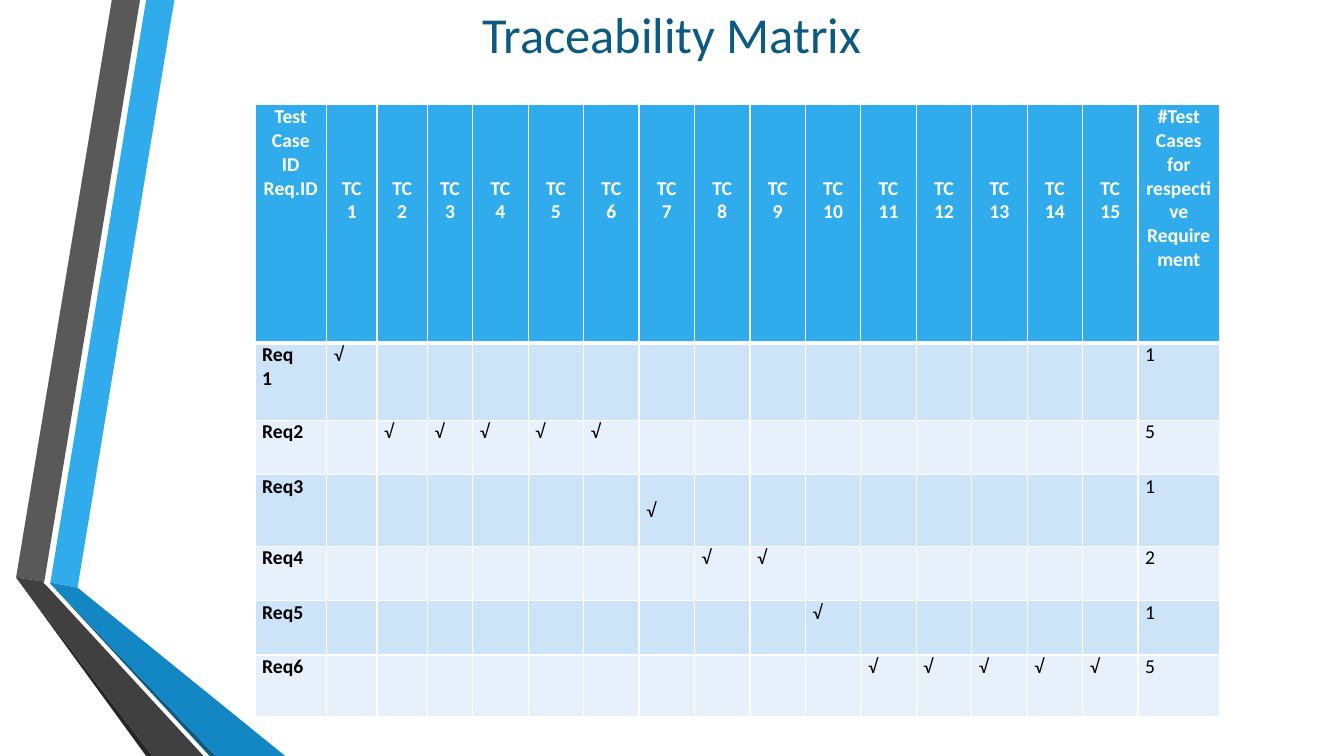
from lxml.etree import SubElement
from pptx import Presentation
from pptx.dml.color import RGBColor
from pptx.enum.text import MSO_ANCHOR, PP_ALIGN
from pptx.oxml.ns import qn
from pptx.util import Emu, Pt

SKY = RGBColor(0x30, 0xAC, 0xEC)
BLUE = RGBColor(0x12, 0x87, 0xC3)
NAVY = RGBColor(0x0C, 0x5A, 0x82)
GREY = RGBColor(0x59, 0x59, 0x59)
DARK = RGBColor(0x40, 0x40, 0x40)
COAL = RGBColor(0x26, 0x26, 0x26)
BLACK = RGBColor(0, 0, 0)
WHITE = RGBColor(0xFF, 0xFF, 0xFF)
BANDS = RGBColor(0xCD, 0xE3, 0xF8), RGBColor(0xE8, 0xF1, 0xFB)

GRID_COLS, GRID_ROWS, UNIT = 160, 90, 76200

RIBBONS = [
    (SKY, [(6, 69.36), (9.24, 69.96), (20.76, 0), (17.4, 0)]),
    (GREY, [(16.68, 0), (13.32, 0), (1.92, 68.76), (5.28, 69.24)]),
    (COAL, [(1.92, 68.76), (17.4, 90), (18.12, 90)]),
    (NAVY, [(6, 69.48), (24.96, 90), (25.68, 90)]),
    (BLUE, [(6, 69.48), (25.68, 90), (33.96, 90), (9.24, 69.96), (6, 69.36)]),
    (DARK, [(24.24, 90), (5.76, 69.96), (5.16, 69.36), (5.28, 69.24),
            (1.92, 68.76), (18.12, 90)]),
]
TEST_CASES = 15
COVERAGE = [
    ("Req\n1", range(1, 2)),
    ("Req2", range(2, 7)),
    ("Req3", range(7, 8)),
    ("Req4", range(8, 10)),
    ("Req5", range(10, 11)),
    ("Req6", range(11, 16)),
]
COL_WIDTHS = [8.52, 6, 6, 5.4] + [6.6] * 12 + [9.72]
ROW_HEIGHTS = [28.32, 9.24, 6.48, 8.52, 6.48, 6.48, 7.32]
LINE = 2.84


def grid(n):
    return Emu(round(n * UNIT))


def write(tf, text, size=14, color=BLACK, bold=False, align=PP_ALIGN.LEFT, font="Calibri"):
    tf.word_wrap = True
    for i, line in enumerate(text.split("\n")):
        p = tf.add_paragraph() if i else tf.paragraphs[0]
        p.alignment = align
        p.font.size = Pt(size)
        if line:
            r = p.add_run()
            r.text = line
            r.font.name, r.font.size, r.font.bold = font, Pt(size), bold
            r.font.color.rgb = color


class Deck:
    """Slide builder that places elements on a grid of columns and rows."""

    def __init__(self):
        self.prs = Presentation()
        self.prs.slide_width, self.prs.slide_height = grid(GRID_COLS), grid(GRID_ROWS)
        self.s = self.prs.slides.add_slide(self.prs.slide_layouts[5])

    def title(self, text, x, y, w, h):
        sp = self.s.shapes.title
        sp.left, sp.top, sp.width, sp.height = map(grid, (x, y, w, h))
        sp.text_frame.vertical_anchor = MSO_ANCHOR.MIDDLE
        write(sp.text_frame, text, size=36, color=NAVY, align=PP_ALIGN.CENTER)

    def ribbon(self, color, points):
        start, *rest = [(grid(x), grid(y)) for x, y in points]
        builder = self.s.shapes.build_freeform(*start, scale=1.0)
        builder.add_line_segments(rest, close=True)
        sp = builder.convert_to_shape()
        sp.shadow.inherit = False
        sp.fill.solid()
        sp.fill.fore_color.rgb = color
        sp.line.fill.background()

    def table(self, x, y, widths, heights):
        frame = self.s.shapes.add_table(len(heights), len(widths), grid(x), grid(y),
                                        grid(sum(widths)), grid(sum(heights)))
        tbl = frame.table
        tbl.horz_banding = False
        for col, w in zip(tbl.columns, widths):
            col.width = grid(w)
        for row, h in zip(tbl.rows, heights):
            row.height = grid(h)
        return tbl

    def cell(self, cell, text, fill, skip_lines=0, bottom=1, **fmt):
        cell.margin_left = cell.margin_right = grid(0.86)
        cell.margin_top, cell.margin_bottom = grid(skip_lines * LINE), 0
        tcPr = cell._tc.get_or_add_tcPr()
        for side, width in (("L", 1), ("R", 1), ("T", 1), ("B", bottom)):
            ln = SubElement(tcPr, qn(f"a:ln{side}"), w=str(Pt(width)))
            SubElement(SubElement(ln, qn("a:solidFill")), qn("a:srgbClr"), val=str(WHITE))
        cell.fill.solid()
        cell.fill.fore_color.rgb = fill
        write(cell.text_frame, text, **fmt)

    def matrix(self, x, y):
        tbl = self.table(x, y, COL_WIDTHS, ROW_HEIGHTS)
        last = TEST_CASES + 1
        heads = ["Test Case\nID\nReq.ID"]
        heads += [f"TC\n{n}" for n in range(1, last)]
        heads += ["#Test Cases for respective\nRequirement"]
        for c, text in enumerate(heads):
            self.cell(tbl.cell(0, c), text, SKY, skip_lines=3 if 0 < c < last else 0,
                      bottom=3, color=WHITE, bold=True, align=PP_ALIGN.CENTER)
        for i, (req, cases) in enumerate(COVERAGE):
            ticks = ["√" if n in cases else "" for n in range(1, last)]
            for c, text in enumerate([req, *ticks, str(len(cases))]):
                lowered = req == "Req3" and text == "√"
                self.cell(tbl.cell(i + 1, c), text, BANDS[i % 2],
                          skip_lines=int(lowered), bold=c == 0)


def main():
    deck = Deck()
    for color, points in RIBBONS:
        deck.ribbon(color, points)
    deck.title("Traceability Matrix", 20, 0, 120, 8)
    deck.matrix(30.36, 12.48)
    deck.prs.save("out.pptx")


if __name__ == "__main__":
    main()
